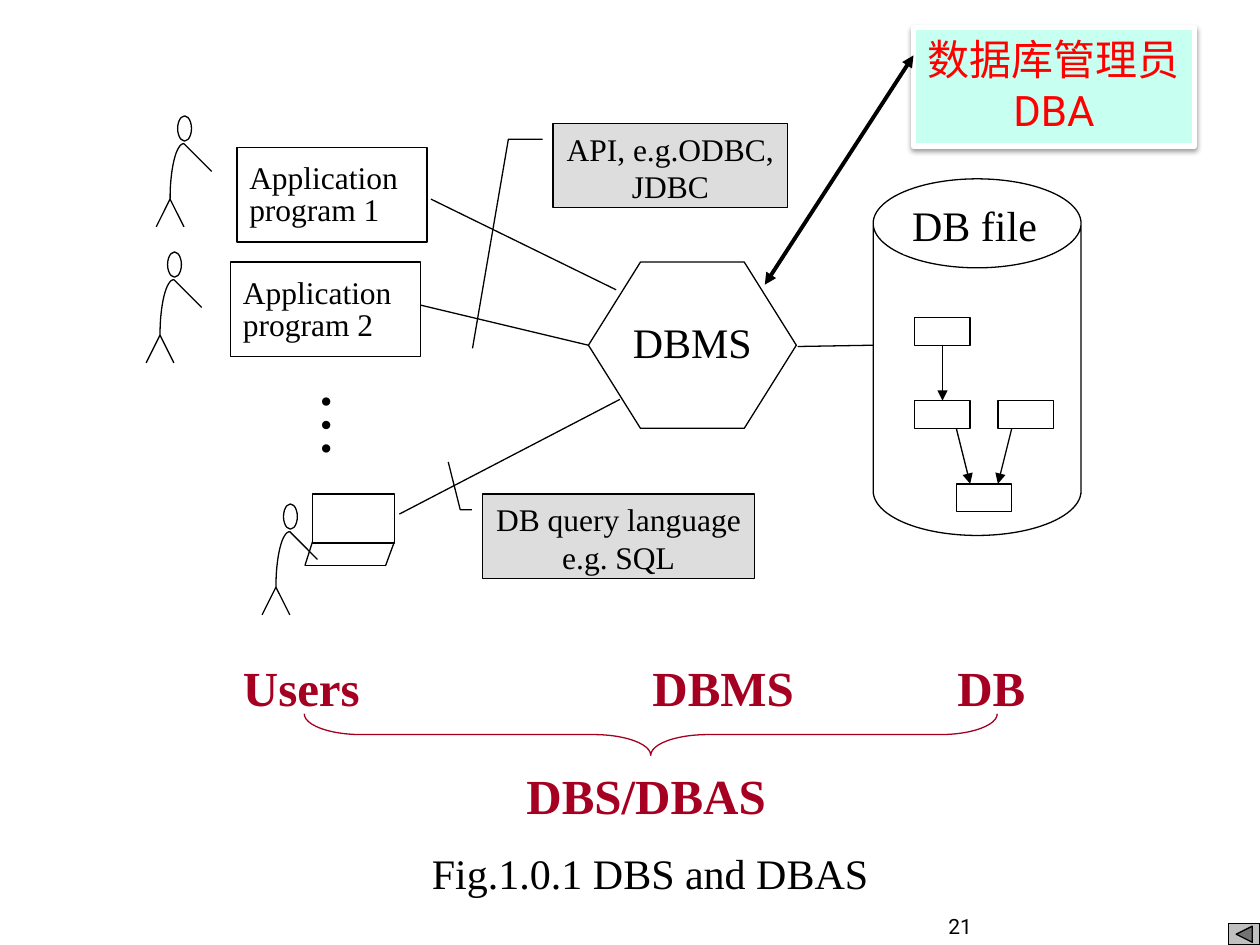
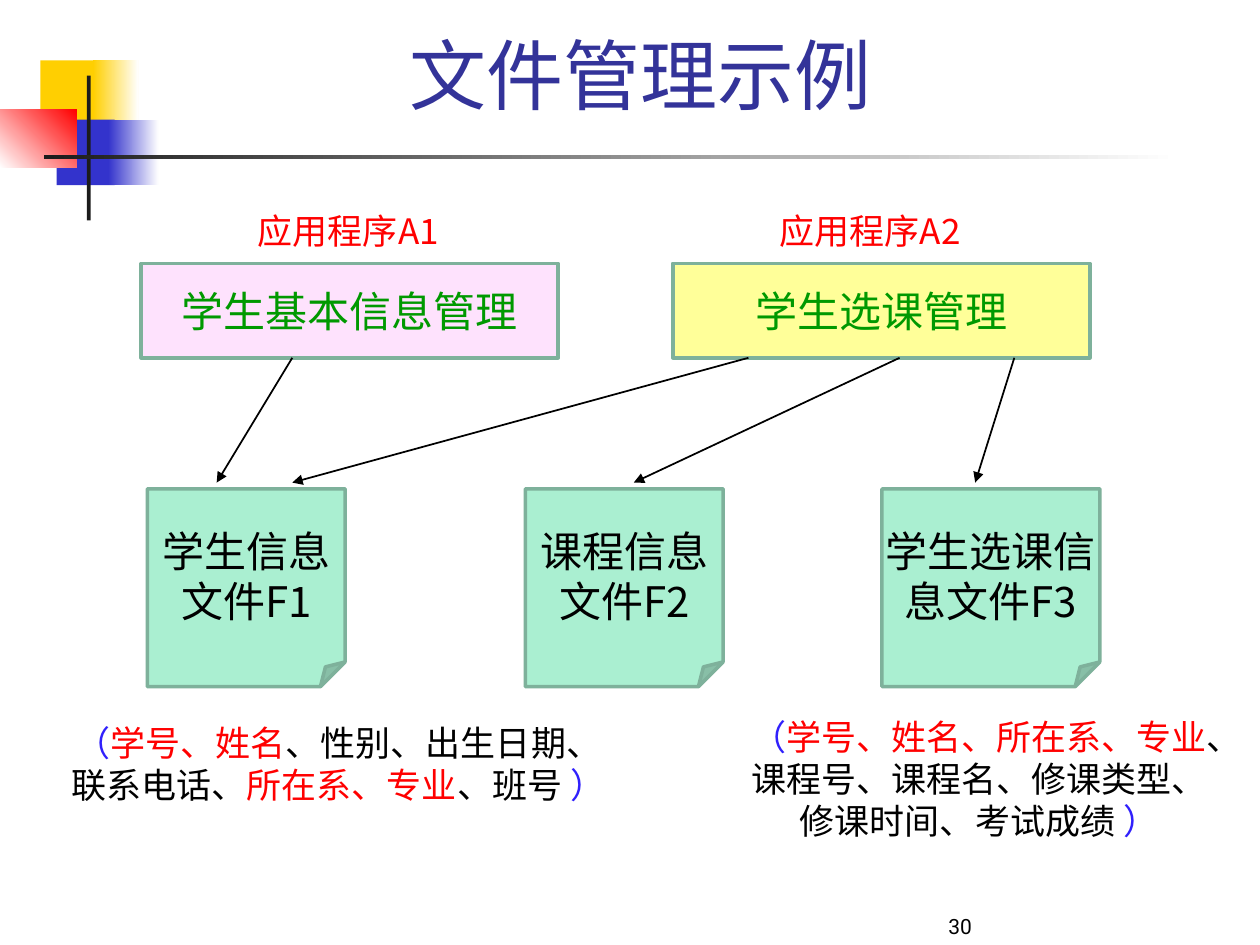
from dataclasses import dataclass
from typing import Optional, Sequence

from lxml.etree import SubElement
from pptx import Presentation
from pptx.dml.color import RGBColor
from pptx.enum.shapes import MSO_CONNECTOR as Link, MSO_SHAPE as Kind
from pptx.enum.text import MSO_ANCHOR as Anchor, PP_ALIGN as Align
from pptx.oxml.ns import qn
from pptx.util import Inches, Pt

COLORS = {
    "black": "000000", "white": "FFFFFF", "grey": "DDDDDD", "button": "C0C0C0",
    "crimson": "A50021", "red": "FF0000", "aqua": "C7FFF0", "gold": "FFCF01",
    "blue": "3333CC", "ink": "1C1C1C", "title": "333399", "pink": "FEE2FD",
    "yellow": "FFFF99", "green": "009900", "mint": "AAEFD1", "teal": "7EB19B",
    "bracket": "3020FC",
}
SERIF, SANS, CJK = "Times New Roman", "Roboto", "Noto Sans CJK SC"


@dataclass(frozen=True)
class Box:
    left: float
    top: float
    width: float
    height: float
    fill: Optional[str] = "white"
    line: Optional[str] = "black"
    weight: float = 0.75
    kind: Kind = Kind.RECTANGLE
    adjust: Sequence[float] = ()
    fade_to: Optional[str] = None
    angle: float = 0

    @property
    def place(self) -> list:
        return [Inches(v) for v in (self.left, self.top, self.width, self.height)]


@dataclass(frozen=True)
class Style:
    font: str
    size: float
    color: str = "black"
    bold: bool = False
    align: Align = Align.CENTER
    anchor: Anchor = Anchor.TOP
    wrap: bool = True
    spacing: Optional[float] = None
    insets: Sequence[float] = (0.1, 0.05, 0.1, 0.05)


@dataclass(frozen=True)
class Line:
    start: tuple
    end: tuple
    weight: float = 0.75
    arrows: Sequence[str] = ()


PROGRAM = Style(SERIF, 18, align=Align.JUSTIFY, spacing=0.85, insets=(0.1, 0.13, 0.1, 0.05))
NOTE = Style(SERIF, 18)
PART = Style(SERIF, 28, "crimson", bold=True, align=Align.LEFT, wrap=False)
CAPTION = Style(SERIF, 24, align=Align.LEFT, wrap=False)
TITLE = Style(CJK, 44, "title", anchor=Anchor.BOTTOM)
APP_NAME = Style(CJK, 20, "red")
TASK = Style(CJK, 24, "green", anchor=Anchor.MIDDLE)
FILE = Style(CJK, 24, anchor=Anchor.MIDDLE, wrap=False)
FIELDS = Style(CJK, 20)
PAGE = Style(SANS, 12, anchor=Anchor.BOTTOM)

BAND = [
    Box(0.32, 0.48, 0.48, 0.52, "gold", None),
    Box(0.74, 0.48, 0.36, 0.52, "gold", None, fade_to="white"),
    Box(0.45, 0.95, 0.46, 0.52, "blue", None),
    Box(0.86, 0.95, 0.4, 0.52, "blue", None, fade_to="white"),
    Box(0, 0.87, 0.61, 0.46, "white", None, fade_to="red", angle=45),
    Box(0.69, 0.6, 0.03, 1.15, "ink", None),
    Box(0.35, 1.23, 9, 0.03, "ink", None, fade_to="white"),
]


def rgb(name: str) -> RGBColor:
    return RGBColor.from_string(COLORS[name])


def draw_line(slide, line: Line):
    ends = [Inches(v) for v in (*line.start, *line.end)]
    connector = slide.shapes.add_connector(Link.STRAIGHT, *ends)
    connector.line.color.rgb = rgb("black")
    connector.line.width = Pt(line.weight)
    properties = connector._element.spPr
    for arrow in line.arrows:
        SubElement(properties.find(qn("a:ln")), qn(f"a:{arrow}"), type="triangle")
    SubElement(properties, qn("a:effectLst"))
    return connector


def set_adjustments(shape, values: Sequence[float]) -> None:
    geometry = shape._element.spPr.find(qn("a:prstGeom"))
    guides = geometry.find(qn("a:avLst"))
    if guides is None:
        guides = SubElement(geometry, qn("a:avLst"))
    for guide in list(guides):
        guides.remove(guide)
    for index, value in enumerate(values, 1):
        name = "adj" if len(values) == 1 else f"adj{index}"
        SubElement(guides, qn("a:gd"), name=name, fmla=f"val {round(value * 100000)}")


def draw_box(slide, box: Box):
    shape = slide.shapes.add_shape(box.kind, *box.place)
    shape.shadow.inherit = False
    if box.adjust:
        set_adjustments(shape, box.adjust)
    if box.fade_to:
        shape.fill.gradient()
        shape.fill.gradient_angle = box.angle
        for stop, name in zip(shape.fill.gradient_stops, (box.fill, box.fade_to)):
            stop.color.rgb = rgb(name)
    elif box.fill:
        shape.fill.solid()
        shape.fill.fore_color.rgb = rgb(box.fill)
    else:
        shape.fill.background()
    if box.line:
        shape.line.color.rgb = rgb(box.line)
        shape.line.width = Pt(box.weight)
    else:
        shape.line.fill.background()
    return shape


def write(shape, style: Style, *lines):
    frame = shape.text_frame
    frame.word_wrap = style.wrap
    frame.vertical_anchor = style.anchor
    (frame.margin_left, frame.margin_top,
     frame.margin_right, frame.margin_bottom) = map(Inches, style.insets)
    for index, line in enumerate(lines):
        paragraph = frame.add_paragraph() if index else frame.paragraphs[0]
        paragraph.alignment = style.align
        if style.spacing:
            paragraph.line_spacing = style.spacing
        font = paragraph.font
        font.name, font.size, font.bold = style.font, Pt(style.size), style.bold
        font.color.rgb = rgb(style.color)
        SubElement(font._element, qn("a:ea"), typeface=style.font)
        for text, color in [(line, None)] if isinstance(line, str) else line:
            run = paragraph.add_run()
            run.text = text
            if color:
                run.font.color.rgb = rgb(color)
    return shape


def draw_label(slide, place: tuple, style: Style, *lines):
    return write(slide.shapes.add_textbox(*map(Inches, place)), style, *lines)


def draw_page_number(slide, number: str) -> None:
    draw_label(slide, (6.58, 7, 2.08, 0.5), PAGE, number)


def draw_user(slide, x: float, y: float) -> None:
    draw_box(slide, Box(x, y, 0.11, 0.2, kind=Kind.FLOWCHART_CONNECTOR))
    neck, hip = (x + 0.05, y + 0.22), (x - 0.06, y + 0.66)
    curve = (neck, (x - 0.01, y + 0.22), (x - 0.06, y + 0.41), hip)
    steps = 16
    points = []
    for step in range(steps + 1):
        t = step / steps
        weights = ((1 - t) ** 3, 3 * t * (1 - t) ** 2, 3 * t * t * (1 - t), t ** 3)
        points.append(tuple(Inches(sum(w * p[axis] for w, p in zip(weights, curve)))
                            for axis in (0, 1)))
    builder = slide.shapes.build_freeform(*points[0], scale=1.0)
    builder.add_line_segments(points[1:], close=False)
    back = builder.convert_to_shape()
    back.shadow.inherit = False
    back.fill.background()
    back.line.color.rgb = rgb("black")
    back.line.width = Pt(0.75)
    for start, end in ((hip, (x + 0.05, y + 0.88)), (hip, (x - 0.17, y + 0.88)),
                       (neck, (x + 0.27, y + 0.44))):
        draw_line(slide, Line(start, end))


def draw_laptop(slide) -> None:
    draw_box(slide, Box(2.48, 3.92, 0.65, 0.39))
    for start, end in (((2.48, 4.3), (2.42, 4.49)), ((3.13, 4.3), (3.06, 4.49)),
                       ((2.42, 4.49), (3.06, 4.49))):
        draw_line(slide, Line(start, end))


def draw_database(slide) -> None:
    draw_box(slide, Box(6.93, 1.42, 1.65, 2.83, kind=Kind.CAN, adjust=[0.428]))
    records = [draw_box(slide, Box(7.26 + 0.33 * column, 2.52 + 0.66 * row, 0.44, 0.22))
               for column, row in ((0, 0), (0, 1), (2, 1), (1, 2))]
    root_link = draw_line(slide, Line((7.48, 2.74), (7.48, 3.18), arrows=["tailEnd"]))
    root_link.begin_connect(records[0], 2)
    root_link.end_connect(records[1], 0)
    for start, end in (((7.59, 3.4), (7.7, 3.84)), ((8.03, 3.4), (7.92, 3.84))):
        draw_line(slide, Line(start, end, arrows=["tailEnd"]))
    write(draw_box(slide, Box(7.17, 1.58, 1.13, 0.44, line=None)),
          Style(SERIF, 24, insets=(0, 0, 0, 0)), "DB file")


def draw_administrator(slide) -> None:
    administrator = draw_box(slide, Box(7.25, 0.22, 2.23, 0.94, "aqua", "white", 3))
    effects = administrator._element.spPr.find(qn("a:effectLst"))
    shadow = SubElement(effects, qn("a:outerShdw"), blurRad=str(int(Pt(3.1))),
                        dist=str(int(Pt(1.6))), dir="5400000", rotWithShape="0")
    shade = SubElement(shadow, qn("a:srgbClr"), val=COLORS["black"])
    SubElement(shade, qn("a:alpha"), val="38000")
    write(administrator, Style(SANS, 24, "red"), "数据库管理员", "DBA")
    draw_line(slide, Line((6.07, 2.26), (7.25, 0.44), 2.25, ["headEnd", "tailEnd"]))


def build_system_slide(deck) -> None:
    slide = deck.slides.add_slide(deck.slide_layouts[6])
    draw_laptop(slide)
    for x, y in ((1.41, 0.92), (1.33, 2), (2.25, 4)):
        draw_user(slide, x, y)
    write(draw_box(slide, Box(4.67, 2.08, 1.65, 1.32, kind=Kind.HEXAGON, adjust=[0.313])),
          Style(SERIF, 24, insets=(0, 0.21, 0, 0.05)), "DBMS")
    draw_database(slide)
    for start, end in (((1.33, 4.95), (1.33, 4.95)), ((6.33, 2.75), (6.93, 2.74)),
                       ((3.42, 1.58), (4.89, 2.3)), ((3.33, 2.42), (4.67, 2.74)),
                       ((3.17, 4.08), (4.92, 3.17))):
        draw_line(slide, Line(start, end))
    for number, (left, top) in enumerate(((1.88, 1.17), (1.83, 2.08)), 1):
        write(draw_box(slide, Box(left, top, 1.51, 0.75)), PROGRAM,
              f"Application program {number}")
    more = draw_label(slide, (2.3, 3, 0.87, 0.92), Style(SERIF, 40, align=Align.LEFT), "…")
    more._element.txBody.bodyPr.set("vert", "eaVert")

    query_pointer = (0.188, -0.039, 0.188, -0.082, -0.378, -0.126)
    api_pointer = (0.188, -0.045, 0.188, -0.191, 2.664, -0.344)
    write(draw_box(slide, Box(3.83, 3.92, 2.16, 0.67, "grey", kind=Kind.LINE_CALLOUT_2,
                              adjust=query_pointer)),
          NOTE, "DB query language", "e.g. SQL")
    write(draw_box(slide, Box(4.39, 0.98, 1.86, 0.67, "grey", kind=Kind.LINE_CALLOUT_2,
                              adjust=api_pointer)),
          NOTE, "API, e.g.ODBC, JDBC")

    for name, left, top, width in (("Users", 1.83, 5.17, 1.13), ("DBMS", 5.08, 5.17, 1.32),
                                   ("DB", 7.5, 5.17, 0.74), ("DBS/DBAS", 4.08, 6.03, 2.1)):
        draw_label(slide, (left, top, width, 0.57), PART, name)
    brace = draw_box(slide, Box(5, 3.08, 0.33, 5.5, None, "crimson", kind=Kind.LEFT_BRACE,
                                adjust=(1.375, 0.5)))
    brace.rotation = 270
    draw_label(slide, (3.33, 6.68, 3.67, 0.5), CAPTION, "Fig.1.0.1 DBS and DBAS")
    draw_box(slide, Box(9.75, 7.33, 0.25, 0.17, "button",
                        kind=Kind.ACTION_BUTTON_BACK_OR_PREVIOUS))
    draw_administrator(slide)
    draw_page_number(slide, "21")


def build_files_slide(deck) -> None:
    slide = deck.slides.add_slide(deck.slide_layouts[5])
    for block in BAND:
        draw_box(slide, block)
    title = slide.shapes.title
    title.left, title.top, title.width, title.height = map(Inches, (0.67, 0.33, 8.83, 0.67))
    write(title, TITLE, "文件管理示例")

    for app, app_left, task, task_left, fill in (
            ("应用程序A1", 1.56, "学生基本信息管理", 1.12, "pink"),
            ("应用程序A2", 5.7, "学生选课管理", 5.34, "yellow")):
        write(draw_box(slide, Box(app_left, 1.61, 2.41, 0.74, line=None)), APP_NAME, app)
        write(draw_box(slide, Box(task_left, 2.09, 3.31, 0.75, fill, "teal", 2)), TASK, task)
    for task_x, file_x in ((2.32, 1.72), (5.94, 2.32), (7.14, 5.03), (8.05, 7.74)):
        draw_line(slide, Line((task_x, 2.84), (file_x, 3.83), 1, ["tailEnd"]))
    for left, width, lines in ((1.17, 1.57, ("学生信息", "文件F1")),
                               (4.17, 1.57, ("课程信息", "文件F2")),
                               (7, 1.73, ("学生选课信", "息文件F3"))):
        write(draw_box(slide, Box(left, 3.88, width, 1.57, "mint", "teal", 2,
                                  Kind.FOLDED_CORNER, [0.125])), FILE, *lines)

    opening, closing = ("（", "bracket"), ("）", "bracket")
    draw_label(slide, (0.42, 5.68, 4.53, 0.77), FIELDS,
               [opening, ("学号、姓名", "red"), ("、性别、出生日期、联系电话、", None),
                ("所在系、专业", "red"), ("、班号 ", None), closing])
    draw_label(slide, (5.86, 5.63, 3.82, 1.11), FIELDS,
               [opening, ("学号、姓名、所在系、专业", "red"),
                ("、课程号、课程名、修课类型、修课时间、考试成绩 ", None), closing])
    draw_page_number(slide, "30")


def main() -> None:
    deck = Presentation()
    deck.slide_width, deck.slide_height = Inches(10), Inches(7.5)
    build_system_slide(deck)
    build_files_slide(deck)
    deck.save("out.pptx")


if __name__ == "__main__":
    main()
